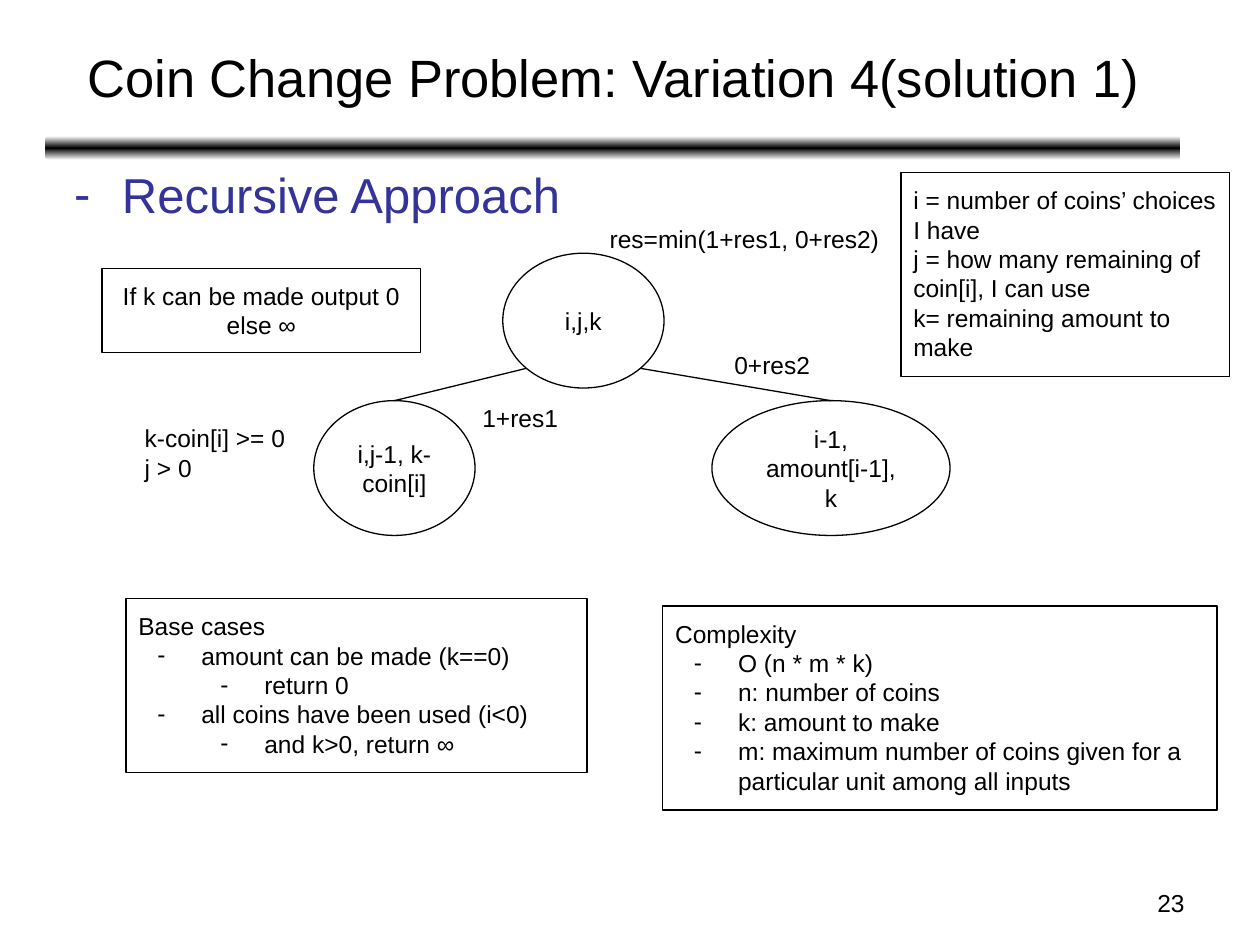
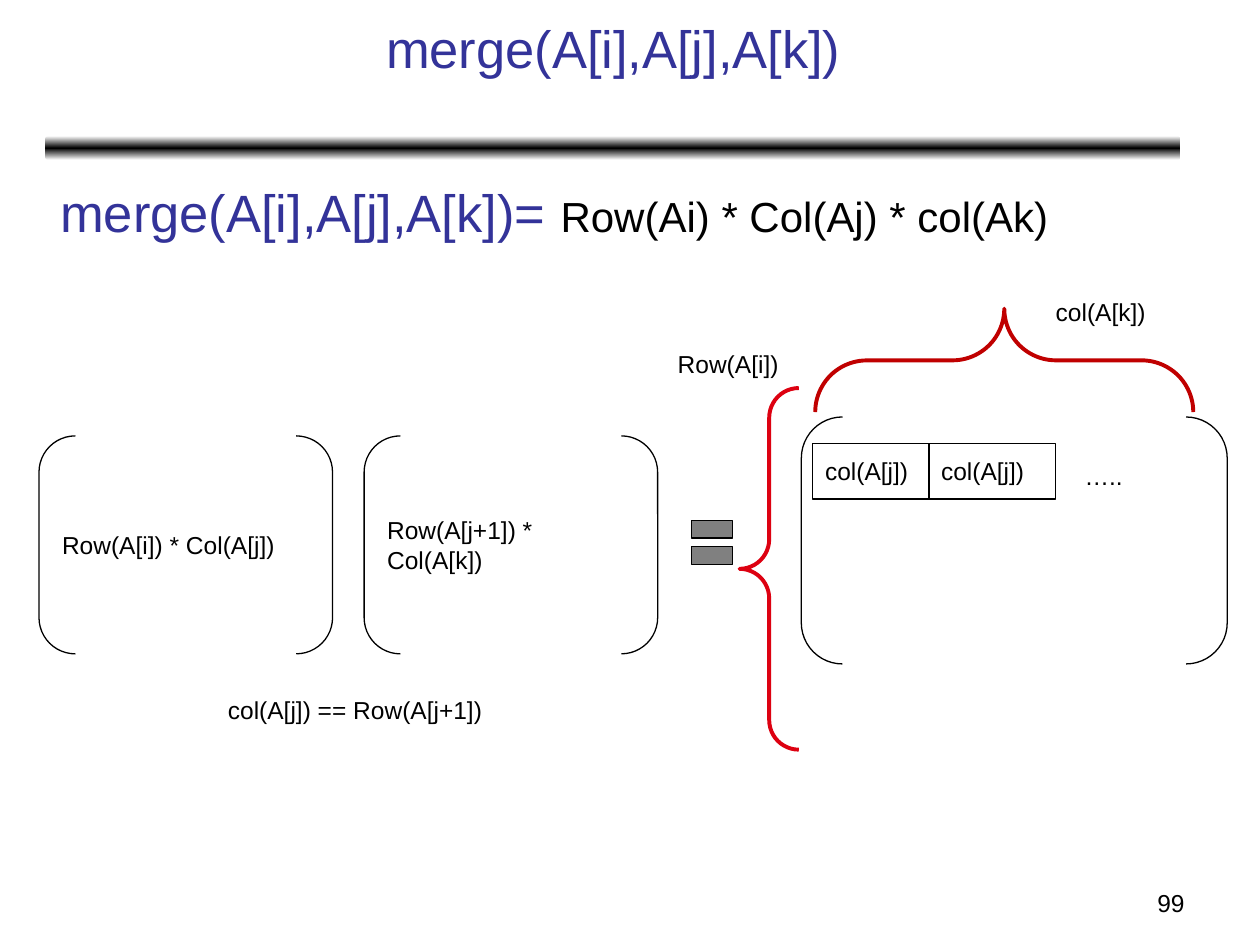
from copy import deepcopy
from math import sqrt

from lxml.etree import SubElement
from pptx import Presentation
from pptx.dml.color import RGBColor
from pptx.enum.shapes import MSO_CONNECTOR, MSO_SHAPE as SHAPE
from pptx.enum.text import MSO_ANCHOR as ANCHOR, PP_ALIGN as ALIGN
from pptx.oxml.ns import qn
from pptx.util import Pt

PX = 9144  # EMU in one px: 100 px to the inch
FONT = "Arial"
COLORS = {
    "ink": "000000",
    "paper": "FFFFFF",
    "heading": "333399",
    "equal": "808080",
    "column_brace": "C00000",
    "row_brace": "DD0111",
}


def rgb(name):
    return RGBColor.from_string(COLORS[name])


def emu(*lengths):
    return [round(length * PX) for length in lengths]


# Text helpers

def set_font(font, size, color):
    font.name, font.size = FONT, Pt(size)
    font.color.rgb = rgb(color)


def add_dash(paragraph, color, margin, hanging):
    properties = paragraph._p.get_or_add_pPr()
    margin, hanging = emu(margin, hanging)
    properties.set("marL", str(margin))
    properties.set("indent", str(-hanging))
    bullet_color = SubElement(properties, qn("a:buClr"))
    SubElement(bullet_color, qn("a:srgbClr"), val=COLORS[color])
    SubElement(properties, qn("a:buFont"), typeface=FONT)
    SubElement(properties, qn("a:buChar"), char="-")


def write(shape, lines, size=14, color="ink", align=ALIGN.LEFT,
          anchor=ANCHOR.TOP, inset=10, hanging=35):
    """Each line is a string, or a (level, string) pair for a dashed line."""
    frame = shape.text_frame
    frame.word_wrap = True
    frame.vertical_anchor = anchor
    frame.margin_left = frame.margin_right = 10 * PX
    frame.margin_top = frame.margin_bottom = inset * PX
    for index, line in enumerate(lines):
        level, text = line if isinstance(line, tuple) else (0, line)
        paragraph = frame.paragraphs[0] if index == 0 else frame.add_paragraph()
        paragraph.text = text
        paragraph.alignment = align
        if level:
            paragraph.level = level - 1
            add_dash(paragraph, color, 50 * level, hanging)
        set_font(paragraph.font, size, color)


def add_text(slide, box, lines, **style):
    shape = slide.shapes.add_textbox(*emu(*box))
    write(shape, lines, **style)
    return shape


# Shape helpers

def add_outline(slide, kind, box, lines=(), fill=None, line="ink", weight=0.75,
                **style):
    shape = slide.shapes.add_shape(kind, *emu(*box))
    shape.shadow.inherit = False
    if fill:
        shape.fill.solid()
        shape.fill.fore_color.rgb = rgb(fill)
    else:
        shape.fill.background()
    shape.line.color.rgb = rgb(line)
    shape.line.width = Pt(weight)
    if lines:
        write(shape, lines, **style)
    return shape


def add_edge(slide, start, end):
    edge = slide.shapes.add_connector(MSO_CONNECTOR.STRAIGHT, *emu(*start, *end))
    edge.line.color.rgb = rgb("ink")
    edge.line.width = Pt(0.75)
    SubElement(edge._element.spPr, qn("a:effectLst"))


# Parts shared by the slides

def add_band(slide, box):
    band = slide.shapes.add_shape(SHAPE.ROUNDED_RECTANGLE, *emu(*box))
    band.shadow.inherit = False
    band.adjustments[0] = 0.167
    band.line.fill.background()
    band.fill.gradient()
    band.fill.gradient_angle = 90
    stop_list = band._element.spPr.find(qn("a:gradFill")).find(qn("a:gsLst"))
    stop_list.append(deepcopy(stop_list[0]))
    shades = ((0, "paper"), (0.5, "ink"), (1, "paper"))
    for stop, (position, color) in zip(band.fill.gradient_stops, shades):
        stop.position = position
        stop.color.rgb = rgb(color)


def add_base_slide(presentation, title, number, title_color="ink", title_height=99):
    slide = presentation.slides.add_slide(presentation.slide_layouts[6])
    add_band(slide, (36, 108, 901, 19))
    add_text(slide, (37, 11, 900, title_height), [title], size=30, color=title_color,
             align=ALIGN.CENTER, anchor=ANCHOR.MIDDLE, inset=5)
    add_text(slide, (717, 700, 233, 35), [number], align=ALIGN.RIGHT, inset=5)
    return slide


# Coin change slide

def add_call_tree(slide, left, top):
    """Root call above its two recursive calls, with results on the edges."""
    height, drop = 107, 117
    root_left, root_width = left + 150, 128
    add_node = dict(fill="paper", align=ALIGN.CENTER, anchor=ANCHOR.MIDDLE)
    add_outline(slide, SHAPE.OVAL, (root_left, top, root_width, height),
                ["i,j,k"], **add_node)
    children = (
        (-1, left, 128, ["i,j-1, k-coin[i]"]),
        (1, left + 316, 189, ["i-1,", "amount[i-1], k"]),
    )
    for side, child_left, width, lines in children:
        add_outline(slide, SHAPE.OVAL, (child_left, top + drop, width, height),
                    lines, **add_node)
        # Leave the root at 45 degrees and meet the top of the child
        start = (root_left + root_width / 2 * (1 + side / sqrt(2)),
                 top + height / 2 * (1 + 1 / sqrt(2)))
        add_edge(slide, start, (child_left + width / 2, top + drop))

    labels = (
        (225, -33, 261, 44, ["res=min(1+res1, 0+res2)"]),
        (124, 109, 93, 44, ["1+res1"]),
        (324, 67, 101, 44, ["0+res2"]),
        (-144, 125, 136, 67, ["k-coin[i] >= 0", "j > 0"]),
    )
    for x, y, width, label_height, lines in labels:
        add_text(slide, (left + x, top + y, width, label_height), lines)


def add_note(slide, box, lines, align=ALIGN.LEFT):
    add_outline(slide, SHAPE.RECTANGLE, box, lines, align=align)


def build_coin_change(presentation):
    slide = add_base_slide(presentation,
                           "Coin Change Problem: Variation 4(solution 1)", "23")
    add_text(slide, (37, 126, 900, 50), [(1, "Recursive Approach")],
             size=28, color="heading", inset=5, hanging=38)
    add_call_tree(slide, 249, 201)
    add_note(slide, (81, 213, 253, 67),
             ["If k can be made output 0", "else ∞"], ALIGN.CENTER)
    add_note(slide, (715, 137, 261, 162), [
        "i = number of coins’ choices I have",
        "j = how many remaining of coin[i], I can use",
        "k= remaining amount to make",
    ])
    add_note(slide, (100, 475, 366, 138), [
        "Base cases",
        (1, "amount can be made (k==0)"),
        (2, "return 0"),
        (1, "all coins have been used (i<0)"),
        (2, "and k>0, return ∞"),
    ])
    add_note(slide, (526, 481, 440, 162), [
        "Complexity",
        (1, "O (n * m * k)"),
        (1, "n: number of coins"),
        (1, "k: amount to make"),
        (1, "m: maximum number of coins given for a particular unit among all inputs"),
    ])


# Merge slide

def add_formula(slide, box):
    shape = add_text(slide, box, [""], inset=5)
    paragraph = shape.text_frame.paragraphs[0]
    for text, size, color in (("merge(A[i],A[j],A[k])= ", 30, "heading"),
                              ("Row(Ai) * Col(Aj) * col(Ak)", 24, "ink")):
        run = paragraph.add_run()
        run.text = text
        set_font(run.font, size, color)


def add_factors(slide, left, top):
    """The two matrices that are multiplied, and the condition below them."""
    for index, text in enumerate(("Row(A[i]) * Col(A[j])", "Row(A[j+1]) * Col(A[k])")):
        add_outline(slide, SHAPE.DOUBLE_BRACKET, (left + 258 * index, top, 233, 173),
                    [text], anchor=ANCHOR.MIDDLE)
    add_text(slide, (left + 140, top + 196, 259, 44), ["col(A[j]) == Row(A[j+1])"])


def add_product(slide, left, top):
    """The resulting matrix with braces that measure its rows and columns."""
    add_outline(slide, SHAPE.DOUBLE_BRACKET, (left, top, 338, 196))
    for x, width in ((9, 93), (101, 101)):
        add_outline(slide, SHAPE.RECTANGLE, (left + x, top + 21, width, 44),
                    ["col(A[j])"])
    braces = (
        ((left + 120, top - 195, 82, 300), 90, "column_brace"),
        ((left - 49, top - 23, 47, 287), 0, "row_brace"),
    )
    for box, rotation, color in braces:
        brace = add_outline(slide, SHAPE.LEFT_BRACE, box, line=color, weight=2.25)
        brace.rotation = rotation
        brace.adjustments[0] = brace.adjustments[1] = 0.5
    for x, y, text in ((215, 25, "….."), (192, -105, "col(A[k])"),
                       (-108, -64, "Row(A[i])")):
        add_text(slide, (left + x, top + y, 101, 44), [text])


def build_merge(presentation):
    slide = add_base_slide(presentation, "merge(A[i],A[j],A[k])", "99",
                           title_color="heading", title_height=54)
    add_formula(slide, (38, 138, 900, 60))
    add_factors(slide, 31, 346)
    equal = add_outline(slide, SHAPE.MATH_EQUAL, (543, 401, 44, 59), fill="equal")
    equal.adjustments[0], equal.adjustments[1] = 0.235, 0.118
    add_product(slide, 636, 331)


def main():
    presentation = Presentation()
    presentation.slide_width, presentation.slide_height = emu(1000, 750)
    build_coin_change(presentation)
    build_merge(presentation)
    presentation.save("out.pptx")


if __name__ == "__main__":
    main()
